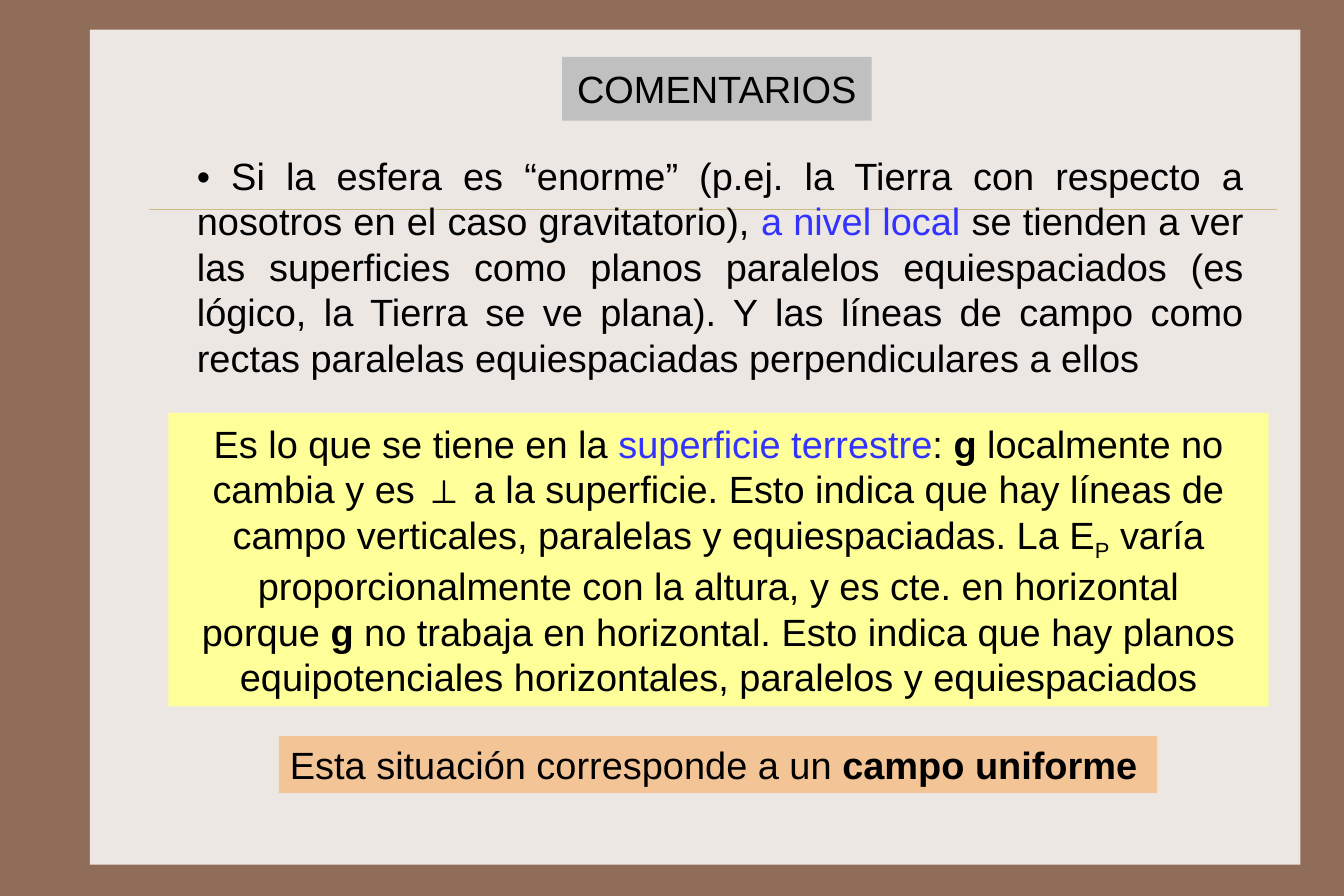
from dataclasses import dataclass

from lxml.etree import SubElement
from pptx import Presentation
from pptx.dml.color import RGBColor
from pptx.enum.shapes import MSO_CONNECTOR, MSO_SHAPE
from pptx.enum.text import MSO_ANCHOR as Anchor
from pptx.enum.text import MSO_AUTO_SIZE as AutoSize
from pptx.enum.text import PP_ALIGN as Align
from pptx.oxml.ns import qn
from pptx.util import Inches, Pt


@dataclass(frozen=True)
class Theme:
    """Colours and type of the slide."""
    font: str = "Arial"
    size: int = 24
    text: str = "000000"
    accent: str = "3333FF"
    frame: str = "906D58"
    panel: str = "EDE7E3"
    rule: str = "CBBD83"
    title: str = "C0C0C0"
    example: str = "FFFF99"
    conclusion: str = "F3C495"


THEME = Theme()


def color(value):
    """Turn a hex string into a colour."""
    return RGBColor.from_string(value)


def fill_shape(shape, value):
    """Give a shape a plain fill without outline."""
    shape.fill.solid()
    shape.fill.fore_color.rgb = color(value)
    shape.line.fill.background()


def place(shape, box):
    """Move a shape to a box of inches and bring it to the front."""
    shape.left, shape.top, shape.width, shape.height = map(Inches, box)
    shape.element.getparent().append(shape.element)


def add_box(slide, box, value):
    """Add a plain filled rectangle."""
    shape = slide.shapes.add_shape(MSO_SHAPE.RECTANGLE, *map(Inches, box))
    shape.shadow.inherit = False
    fill_shape(shape, value)
    return shape


def write(shape, paragraphs, alignment, insets, anchor=Anchor.MIDDLE):
    """Fill a shape with paragraphs made of (text, style) runs."""
    frame = shape.text_frame
    frame.word_wrap = True
    frame.auto_size = AutoSize.NONE
    frame.vertical_anchor = anchor
    frame.margin_left = frame.margin_right = Inches(insets[0])
    frame.margin_top = frame.margin_bottom = Inches(insets[1])
    for index, runs in enumerate(paragraphs):
        paragraph = frame.add_paragraph() if index else frame.paragraphs[0]
        paragraph.alignment = alignment
        paragraph.space_before = Pt(0)
        for text, style in runs:
            run = paragraph.add_run()
            run.text = text
            run.font.name = THEME.font
            run.font.size = Pt(THEME.size)
            run.font.bold = style == "bold"
            run.font.color.rgb = color(THEME.accent if style == "accent" else THEME.text)
            if style == "subscript":
                run.font._element.set("baseline", "-25000")


def draw_background(slide, box):
    """Draw the framed panel and its thin rule."""
    left, top, width, _ = box
    slide.background.fill.solid()
    slide.background.fill.fore_color.rgb = color(THEME.frame)
    add_box(slide, box, THEME.panel)
    rule_y = Inches(top + 1.58)
    rule = slide.shapes.add_connector(
        MSO_CONNECTOR.STRAIGHT, Inches(left + 0.52), rule_y, Inches(left + width - 0.21), rule_y)
    rule.line.color.rgb = color(THEME.rule)
    rule.line.width = Pt(0.25)
    SubElement(rule.element.spPr, qn("a:effectLst"))


def draw_title(slide, box):
    """Place the heading on its grey label."""
    title = slide.shapes.title
    place(title, box)
    fill_shape(title, THEME.title)
    write(title, [[("COMENTARIOS", "plain")]], Align.CENTER, (0.12, 0.08))


def draw_comment(slide, box):
    """Place the justified comment in the body placeholder."""
    body = slide.placeholders[1]
    place(body, box)
    write(body, [[
        ("• Si la esfera es “enorme” (p.ej. la Tierra con respecto a nosotros en el caso "
         "gravitatorio), ", "plain"),
        ("a nivel local ", "accent"),
        ("se tienden a ver las superficies como planos paralelos equiespaciados (es lógico, "
         "la Tierra se ve plana). Y las líneas de campo como rectas paralelas equiespaciadas "
         "perpendiculares a ellos", "plain"),
    ]], Align.JUSTIFY, (0.14, 0.09))
    properties = body.text_frame.paragraphs[0]._p.get_or_add_pPr()
    properties.set("marL", "0")
    properties.set("indent", "0")
    SubElement(properties, qn("a:buNone"))


def draw_example(slide, box):
    """Place the yellow example about the surface of the Earth."""
    write(add_box(slide, box, THEME.example), [
        [
            ("Es lo que se tiene en la ", "plain"),
            ("superficie terrestre", "accent"),
            (": ", "plain"),
            ("g", "bold"),
            (" localmente no cambia y es ⊥ a la superficie. Esto indica que hay líneas de "
             "campo verticales, paralelas y equiespaciadas. La E", "plain"),
            ("P", "subscript"),
            (" varía proporcionalmente con la altura, y es cte. en horizontal", "plain"),
        ],
        [
            ("porque ", "plain"),
            ("g", "bold"),
            (" no trabaja en horizontal. Esto indica que hay planos equipotenciales "
             "horizontales, paralelos y equiespaciados", "plain"),
        ],
    ], Align.CENTER, (0.12, 0.08))


def draw_conclusion(slide, box):
    """Place the orange closing statement."""
    write(add_box(slide, box, THEME.conclusion), [[
        ("Esta situación corresponde a un ", "plain"),
        ("campo uniforme", "bold"),
    ]], Align.LEFT, (0.1, 0.05), Anchor.TOP)


def main():
    """Build the slide and save it."""
    presentation = Presentation()
    presentation.slide_width = Inches(189 / 16)
    presentation.slide_height = Inches(63 / 8)
    slide = presentation.slides.add_slide(presentation.slide_layouts[1])
    draw_background(slide, (0.79, 0.26, 10.64, 7.34))
    draw_example(slide, (1.48, 3.63, 9.67, 2.58))
    draw_comment(slide, (1.59, 1.24, 9.48, 2.2))
    draw_conclusion(slide, (2.45, 6.47, 7.72, 0.5))
    draw_title(slide, (4.94, 0.5, 2.72, 0.56))
    presentation.save("out.pptx")


if __name__ == "__main__":
    main()
